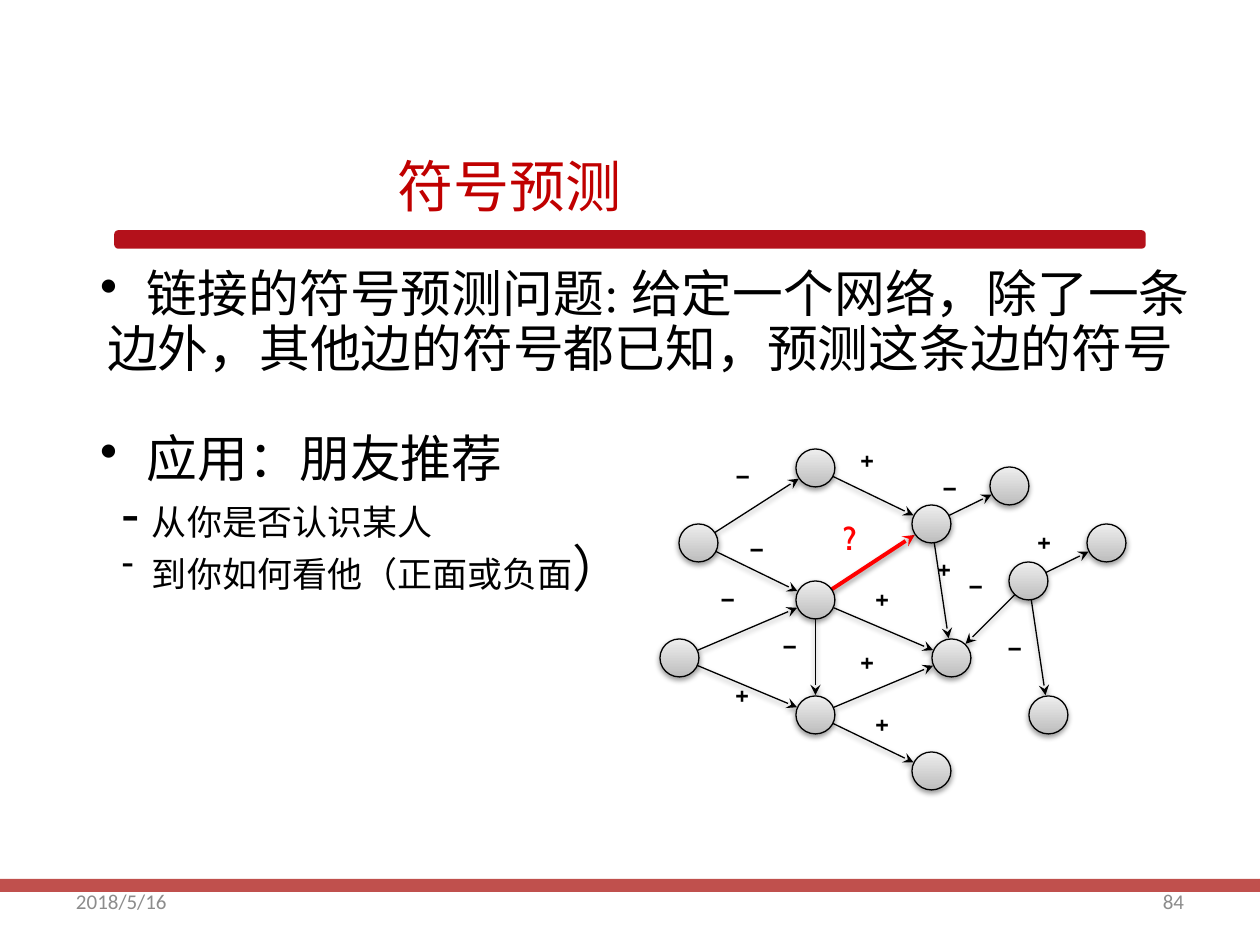
from math import hypot

from lxml.etree import SubElement
from pptx import Presentation
from pptx.dml.color import RGBColor
from pptx.enum.shapes import MSO_CONNECTOR, MSO_SHAPE
from pptx.enum.text import MSO_ANCHOR, PP_ALIGN
from pptx.oxml.ns import qn
from pptx.util import Emu, Pt

EMU_PER_PX = 914400 / 126
NODE_W, NODE_H, ARROW_GAP = 39, 38, 20
COLORS = {
    "black": "000000", "title": "C00000", "bar": "B4111B", "band": "C0504D",
    "unknown": "FF0000", "node_low": "BDBDBD", "node_high": "EEEEEE",
    "footer": "8C8C8C",
}

# Left and top of each person in the network
NODES = {
    "A": (679, 524), "B": (660, 639), "C": (796, 581), "D": (796, 696),
    "E": (912, 505), "F": (932, 639), "G": (796, 449), "H": (912, 752),
    "I": (990, 467), "J": (1009, 562), "K": (1029, 696), "L": (1087, 524),
}
EDGES = ["CF", "DF", "JF", "AC", "CE", "EI", "CD", "BC", "BD", "AG",
         "GE", "DH", "EF", "JL", "JK"]
UNKNOWN_EDGE = "CE"
SIGNS = {
    "+": [(847, 433), (924, 542), (862, 572), (847, 635), (862, 697),
          (722, 668), (1024, 515)],
    "–": [(707, 572), (769, 619), (955, 559), (994, 621), (929, 461),
          (722, 449), (736, 522)],
    "?": [(830, 513)],
}


def px(length):
    return Emu(round(length * EMU_PER_PX))


def rgb(name):
    return RGBColor.from_string(COLORS[name])


def set_font(font, name, size, color, bold=False):
    font.name, font.size, font.bold = name, Pt(size), bold
    font.color.rgb = rgb(color)


def add_soft_shadow(effects):
    shadow = SubElement(effects, qn("a:outerShdw"), blurRad="39370",
                        dist="20320", dir="5400000", rotWithShape="0")
    color = SubElement(shadow, qn("a:srgbClr"), val=COLORS["black"])
    SubElement(color, qn("a:alpha"), val="38000")


def add_bar(slide, kind, box, color):
    bar = slide.shapes.add_shape(kind, *map(px, box))
    bar.shadow.inherit = False
    bar.fill.solid()
    bar.fill.fore_color.rgb = rgb(color)
    bar.line.fill.background()
    return bar


def add_frame(slide, box, inset=(0, 0), anchor=MSO_ANCHOR.TOP):
    frame = slide.shapes.add_textbox(*map(px, box)).text_frame
    frame.word_wrap = True
    frame.vertical_anchor = anchor
    frame.margin_left = frame.margin_right = px(inset[0])
    frame.margin_top = frame.margin_bottom = px(inset[1])
    return frame


def add_label(slide, box, text, font, size, color, bold=False,
              align=PP_ALIGN.LEFT, anchor=MSO_ANCHOR.MIDDLE, inset=(13, 6)):
    paragraph = add_frame(slide, box, inset, anchor).paragraphs[0]
    paragraph.text = text
    paragraph.alignment = align
    set_font(paragraph.font, font, size, color, bold)


def add_line(frame, text, size, margin, hang=0, bullet=None, bullet_size=100):
    first = frame.paragraphs[0]
    paragraph = frame.add_paragraph() if first.runs else first
    paragraph.add_run().text = text
    paragraph.line_spacing = Pt(31.4)
    set_font(paragraph.font, "Times New Roman", size, "black")
    props = paragraph._p.get_or_add_pPr()
    props.set("marL", str(px(margin)))
    props.set("indent", str(-px(hang)))
    if bullet:
        # Bullet elements come before the default run properties
        defaults = props.find(qn("a:defRPr"))
        SubElement(props, qn("a:buSzPct"), val=str(bullet_size * 1000))
        SubElement(props, qn("a:buChar"), char=bullet)
        if defaults is not None:
            props.append(defaults)
    return paragraph


def add_body(slide):
    body = add_frame(slide, (100, 268, 1150, 340))
    add_line(body, "链接的符号预测问题: 给定一个网络，除了一条", 29, 47, 47, "•")
    add_line(body, "边外，其他边的符号都已知，预测这条边的符号", 29, 7)
    application = add_line(body, "应用：朋友推荐", 29, 47, 47, "•")
    application.space_before = Pt(31.4)
    add_line(body, "从你是否认识某人", 20, 52, 30, "-", 145)
    attitude = add_line(body, "到你如何看他（正面或负面", 20, 52, 30, "-")
    closing = attitude.add_run()
    closing.text = "）"
    closing.font.size = Pt(29)


def center(node):
    left, top = NODES[node]
    return left + NODE_W / 2, top + NODE_H / 2


def add_edge(slide, edge):
    (x1, y1), (x2, y2) = map(center, edge)
    part = 1 - ARROW_GAP / hypot(x2 - x1, y2 - y1)
    tip = x1 + (x2 - x1) * part, y1 + (y2 - y1) * part
    arrow = slide.shapes.add_connector(
        MSO_CONNECTOR.STRAIGHT, *map(px, (x1, y1, *tip)))
    unknown = edge == UNKNOWN_EDGE
    arrow.line.color.rgb = rgb("unknown" if unknown else "black")
    arrow.line.width = Pt(2.25 if unknown else 0.75)
    props = arrow._element.spPr
    SubElement(props.find(qn("a:ln")), qn("a:tailEnd"), type="stealth")
    add_soft_shadow(SubElement(props, qn("a:effectLst")))


def add_node(slide, position):
    node = slide.shapes.add_shape(
        MSO_SHAPE.OVAL, *map(px, (*position, NODE_W, NODE_H)))
    node.fill.gradient()
    node.fill.gradient_angle = 90
    for stop, color in zip(node.fill.gradient_stops, ("node_low", "node_high")):
        stop.color.rgb = rgb(color)
    node.line.color.rgb = rgb("black")
    node.line.width = Pt(0.75)
    node.shadow.inherit = False
    add_soft_shadow(node._element.spPr.find(qn("a:effectLst")))


def add_network(slide):
    for edge in EDGES:
        add_edge(slide, edge)
    for position in NODES.values():
        add_node(slide, position)
    for sign, positions in SIGNS.items():
        unknown = sign == "?"
        for position in positions:
            add_label(slide, (*position, 62, 76), sign, "Cabin", 18,
                      "unknown" if unknown else "black", unknown,
                      anchor=MSO_ANCHOR.TOP)


def main():
    deck = Presentation()
    deck.slide_width, deck.slide_height = px(1260), px(945)
    slide = deck.slides.add_slide(deck.slide_layouts[6])

    # Footer band and title with its rule
    add_bar(slide, MSO_SHAPE.RECTANGLE, (0, 879, 1260, 13), "band")
    rule = add_bar(slide, MSO_SHAPE.ROUNDED_RECTANGLE,
                   (116, 232, 1028, 15), "bar")
    rule.adjustments[0] = 0.16
    rule.line.color.rgb = rgb("bar")
    rule.line.width = Pt(2)
    add_label(slide, (398, 150, 240, 70), "符号预测", "Calibri", 32, "title",
              inset=(0, 0))

    # Explanation and signed network
    add_body(slide)
    add_network(slide)

    # Date and page number
    for left, text, align in ((63, "2018/5/16", PP_ALIGN.LEFT),
                              (903, "84", PP_ALIGN.RIGHT)):
        add_label(slide, (left, 876, 294, 50), text, "Calibri", 12, "footer",
                  align=align)

    deck.save("out.pptx")


if __name__ == "__main__":
    main()
